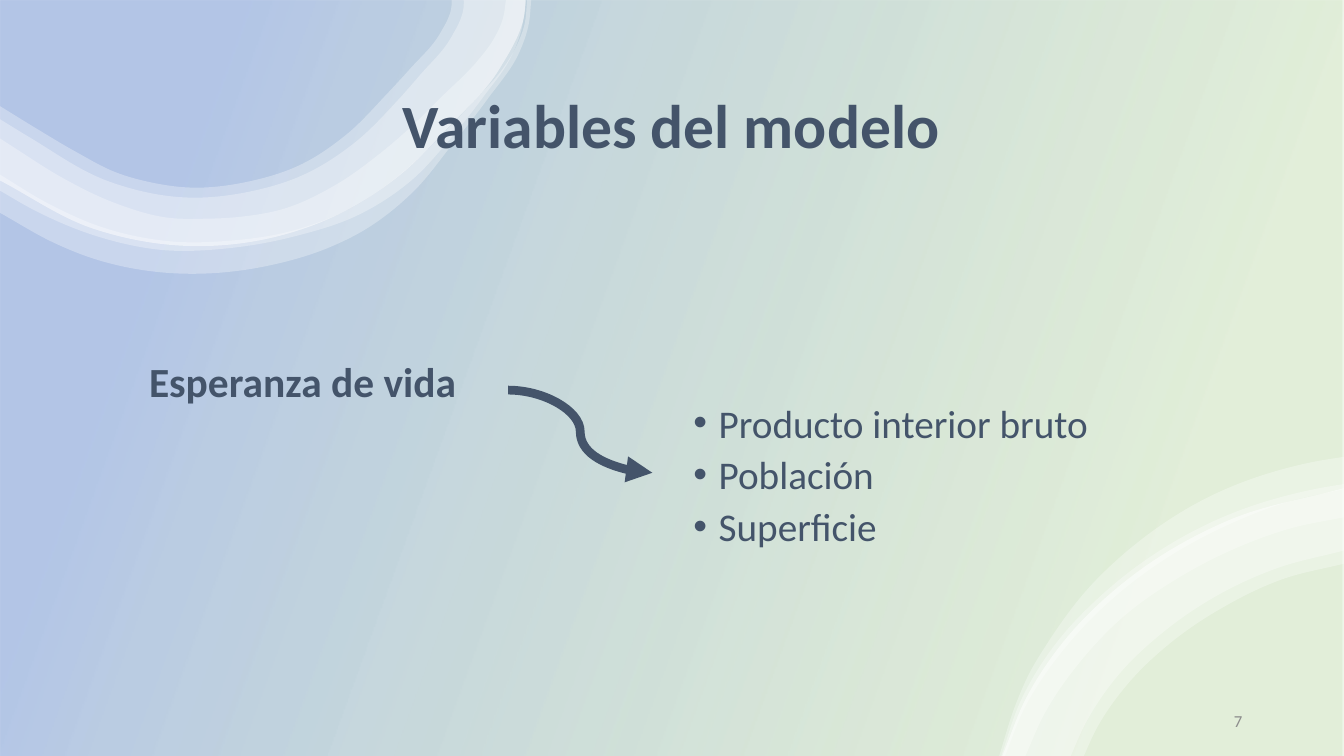
import lxml.etree
import pptx
import pptx.dml.color
import pptx.enum.shapes
import pptx.enum.text
import pptx.oxml.ns
import pptx.util
from pptx.util import Inches

COLORS = {"ink": "44546A", "ribbon": "FFFFFF", "green": "70AD47",
          "blue": "4472C4", "number": "8C8C8C"}
FONT = "Calibri"
ALIGN = pptx.enum.text.PP_ALIGN
ANCHOR = pptx.enum.text.MSO_ANCHOR

TOP_LOWER_EDGE = [(-0.02, 1.78), (0.93, 2.27), (1.87, 2.44), (2.69, 2.36), (3.37, 2.12),
                  (3.95, 1.75), (4.45, 1.26), (4.95, 0.69), (5.21, 0.06), (5.21, -0.01)]
BOTTOM_OUTER_EDGE = [(9.94, 7.5), (10.19, 6.9), (10.52, 6.4), (11.26, 5.69),
                     (12.19, 5.16), (13.34, 4.84)]

TOP_RIBBONS = [
    ([(5.23, -0.01), (5.2, 0.25), (5.1, 0.5), (4.95, 0.73), (4.75, 0.95), (4.45, 1.27),
      (4.14, 1.58), (3.92, 1.77), (3.43, 2.09), (2.86, 2.3), (2.25, 2.39), (1.77, 2.4),
      (1.03, 2.26), (0.48, 2.02), (-0.02, 1.72)],
     [(-0.02, 2.1), (0.56, 2.42), (0.88, 2.55), (1.58, 2.7), (2.11, 2.71), (2.64, 2.64),
      (3.3, 2.44), (3.6, 2.29), (4.1, 1.9), (4.48, 1.44), (4.83, 0.99), (5.15, 0.52),
      (5.24, 0.26), (5.27, -0.01)]),
    ([(5.02, -0.01), (4.99, 0.18), (4.89, 0.4), (4.74, 0.6), (4.35, 0.99), (4.16, 1.18),
      (3.76, 1.53), (3.32, 1.84), (2.82, 2.07), (2.39, 2.15), (2.02, 2.17), (1.67, 2.16),
      (1.13, 2.01), (0.63, 1.77), (0.15, 1.47), (-0.02, 1.36)],
     [(-0.02, 1.88), (0.35, 2.09), (0.95, 2.34), (1.61, 2.48), (2.29, 2.46), (2.94, 2.34),
      (3.56, 2.13), (4.08, 1.79), (4.48, 1.36), (4.81, 0.94), (5.05, 0.6), (5.16, 0.34),
      (5.22, -0.01)]),
    ([(4.6, -0.01), (4.6, 0.06), (4.47, 0.38), (4.17, 0.74), (3.95, 0.99), (3.5, 1.43),
      (3.02, 1.73), (2.48, 1.9), (1.87, 1.96), (1.08, 1.8), (0.29, 1.36), (-0.02, 1.17)],
     TOP_LOWER_EDGE),
    ([(4.48, -0.01), (4.48, 0.05), (4.36, 0.34), (4.07, 0.68), (3.84, 0.93), (3.43, 1.34),
      (2.99, 1.63), (2.47, 1.8), (1.87, 1.86), (1.5, 1.81), (1.15, 1.71), (0.76, 1.51),
      (0.37, 1.28), (-0.02, 1.04)],
     TOP_LOWER_EDGE),
]
BOTTOM_RIBBONS = [
    ([(9.91, 7.5), (10.07, 7), (10.21, 6.68), (10.39, 6.38), (10.81, 5.82), (11.2, 5.45),
      (11.95, 4.95), (12.99, 4.59), (13.34, 4.53)],
     [(13.34, 4.85), (12.74, 4.99), (12.11, 5.24), (11.52, 5.57), (10.99, 5.98),
      (10.53, 6.47), (10.16, 7.03), (9.97, 7.5)]),
    (BOTTOM_OUTER_EDGE,
     [(13.34, 5.59), (12.71, 5.75), (12.14, 6.02), (11.62, 6.37), (11.19, 6.78),
      (10.87, 7.24), (10.75, 7.5)]),
    ([(9.93, 7.5), (10.12, 6.96), (10.46, 6.4), (10.93, 5.9), (11.46, 5.49), (12.06, 5.16),
      (13.05, 4.85), (13.34, 4.8)],
     [(13.34, 5.13), (12.81, 5.24), (12.21, 5.46), (11.66, 5.75), (11.14, 6.12),
      (10.71, 6.57), (10.36, 7.08), (10.17, 7.5)]),
    (BOTTOM_OUTER_EDGE,
     [(13.34, 5.46), (12.66, 5.64), (12.07, 5.91), (11.54, 6.27), (11.09, 6.7),
      (10.76, 7.19), (10.62, 7.5)]),
]


def rgb(name):
    """Return a palette colour."""
    return pptx.dml.color.RGBColor.from_string(COLORS[name])


def add_child(parent, tag, **attributes):
    """Append a drawing element to an XML parent."""
    child = lxml.etree.SubElement(parent, pptx.oxml.ns.qn(tag))
    for key, value in attributes.items():
        child.set(key, str(value))
    return child


def set_opacity(fill_element, percents):
    """Give each colour in a fill its opacity."""
    colors = fill_element.iter(pptx.oxml.ns.qn("a:srgbClr"))
    for color, percent in zip(list(colors), percents):
        add_child(color, "a:alpha", val=percent * 1000)


def bezier_segments(edge):
    """Return two controls and an end for each smooth span of an edge."""
    points = [complex(x, y) for x, y in edge]
    chords = [end - start for start, end in zip(points, points[1:])]
    inner = [a / abs(a) * abs(b) + b / abs(b) * abs(a) for a, b in zip(chords, chords[1:])]
    tangents = [t / abs(t) for t in (chords[0], *inner, chords[-1])]
    return [(points[i] + tangents[i] * abs(chord) / 3,
             points[i + 1] - tangents[i + 1] * abs(chord) / 3,
             points[i + 1]) for i, chord in enumerate(chords)]


def curve_edges(ribbon, edges):
    """Turn the straight spans along both edges into curves."""
    lines = list(ribbon._element.iter(pptx.oxml.ns.qn("a:lnTo")))
    split = len(edges[0]) - 1
    curved_lines = lines[:split] + lines[split + 1:]
    segments = [segment for edge in edges for segment in bezier_segments(edge)]
    for line, segment in zip(curved_lines, segments):
        outline = line.getparent()
        curve = add_child(outline, "a:cubicBezTo")
        for point in segment:
            add_child(curve, "a:pt", x=Inches(point.real) - ribbon.left,
                      y=Inches(point.imag) - ribbon.top)
        outline.replace(line, curve)


def add_background(page, width, height):
    """Cover the page with the translucent gradient."""
    panel = page.shapes.add_shape(
        pptx.enum.shapes.MSO_SHAPE.RECTANGLE, 0, 0, width, height)
    panel.shadow.inherit = False
    panel.line.fill.background()
    panel.fill.gradient()
    panel.fill.gradient_angle = 160
    stops = zip(panel.fill.gradient_stops, ("green", "blue"), (0.16, 0.85))
    for stop, color, position in stops:
        stop.color.rgb = rgb(color)
        stop.position = position
    set_opacity(panel.fill._xPr, (20, 40))


def add_ribbons(page, ribbons):
    """Add one group of overlapping white ribbons."""
    group = page.shapes.add_group_shape()
    for edges in ribbons:
        outline = [(Inches(x), Inches(y)) for edge in edges for x, y in edge]
        builder = group.shapes.build_freeform(*outline[0])
        builder.add_line_segments(outline[1:], close=True)
        ribbon = builder.convert_to_shape()
        curve_edges(ribbon, edges)
        ribbon.shadow.inherit = False
        ribbon.line.fill.background()
        ribbon.fill.solid()
        ribbon.fill.fore_color.rgb = rgb("ribbon")
        set_opacity(ribbon.fill._xPr, (30,))


def add_text(page, place, text, size, color="ink", bold=False, align=ALIGN.LEFT,
             anchor=ANCHOR.TOP, spacing=0.9, before=0, bullet=False):
    """Add a text box with one paragraph per line."""
    box = page.shapes.add_textbox(*map(Inches, place))
    box.text_frame.word_wrap = True
    box.text_frame.vertical_anchor = anchor
    box.text_frame.text = text
    for para in box.text_frame.paragraphs:
        para.alignment = align
        para.line_spacing = spacing
        para.space_before = pptx.util.Pt(before)
        if bullet:
            properties = para._p.get_or_add_pPr()
            properties.set("marL", str(Inches(0.25)))
            properties.set("indent", str(Inches(-0.25)))
            add_child(properties, "a:buFont", typeface="Arial")
            add_child(properties, "a:buChar", char="•")
        for span in para.runs:
            span.font.name = FONT
            span.font.size = pptx.util.Pt(size)
            span.font.bold = bold
            span.font.color.rgb = rgb(color)


def add_curved_arrow(page, start, end):
    """Add a thick curved connector with an arrowhead."""
    arrow = page.shapes.add_connector(
        pptx.enum.shapes.MSO_CONNECTOR.CURVE, *map(Inches, start + end))
    arrow.line.color.rgb = rgb("ink")
    arrow.line.width = pptx.util.Pt(6.25)
    add_child(arrow.line._get_or_add_ln(), "a:tailEnd", type="triangle")
    add_child(arrow._element.spPr, "a:effectLst")


def main():
    """Build the slide and save it."""
    deck = pptx.Presentation()
    deck.slide_width, deck.slide_height = Inches(13.33), Inches(7.5)
    page = deck.slides.add_slide(deck.slide_layouts[6])
    add_background(page, deck.slide_width, deck.slide_height)
    add_ribbons(page, TOP_RIBBONS)
    add_text(page, (3.54, 0.41, 6.24, 1.74), "Variables del modelo", 44, bold=True,
             align=ALIGN.CENTER, anchor=ANCHOR.MIDDLE)
    add_text(page, (6.78, 4, 6.24, 1.6), "Producto interior bruto\nPoblación\nSuperficie", 28,
             spacing=0.8, before=10, bullet=True)
    add_ribbons(page, BOTTOM_RIBBONS)
    add_text(page, (9.42, 6.95, 3, 0.4), "7", 12, color="number", align=ALIGN.RIGHT,
             anchor=ANCHOR.MIDDLE, spacing=1.0)
    add_text(page, (1.38, 3.54, 3.38, 0.65), "Esperanza de vida", 29.6, bold=True, before=10)
    add_curved_arrow(page, (5.04, 3.87), (6.47, 4.69))
    deck.save("out.pptx")


if __name__ == "__main__":
    main()
